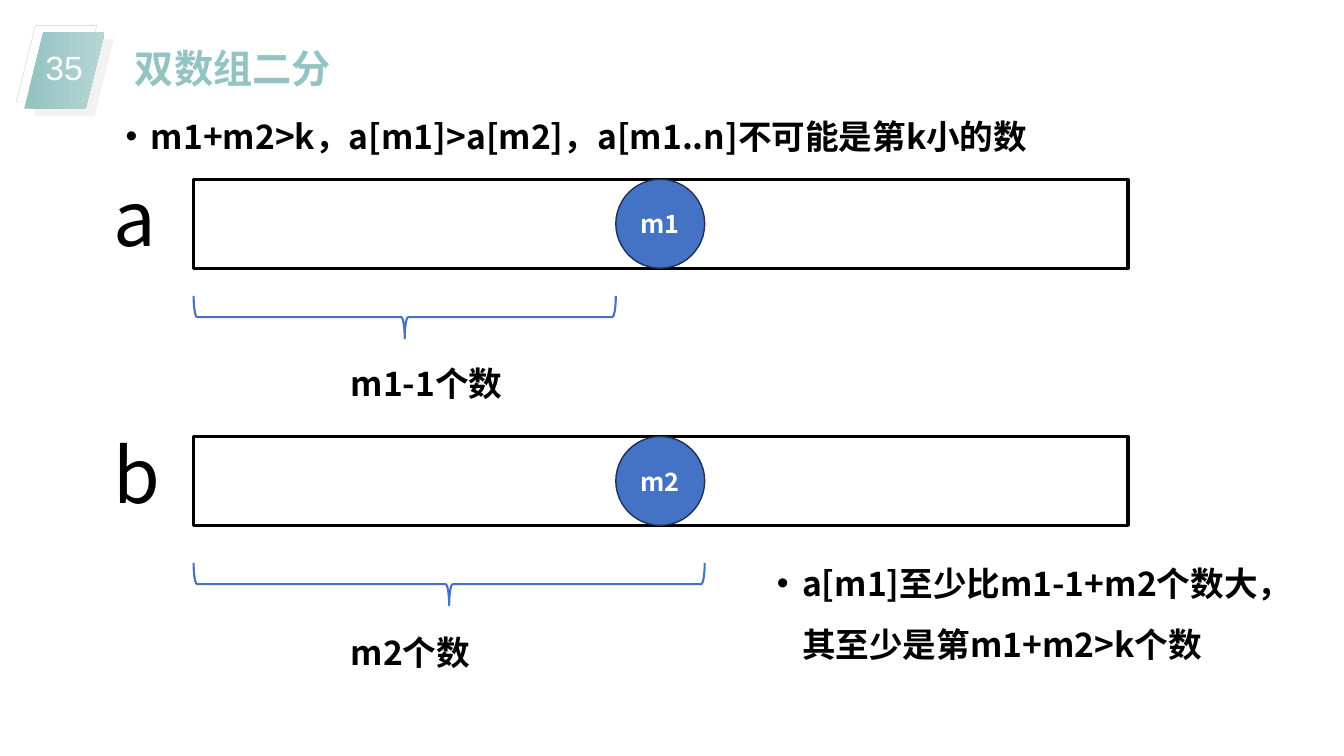
"""Builds the slide on binary search over two sorted arrays."""
from lxml import etree
from pptx import Presentation, util as u
from pptx.dml.color import RGBColor
from pptx.enum import shapes, text
from pptx.oxml import ns

TEAL = RGBColor(0x93, 0xC3, 0xC2)
PALE_TEAL = RGBColor(0xB7, 0xD5, 0xD5)
OUTLINE_TEAL = RGBColor(0xBA, 0xD7, 0xD7)
GREY = RGBColor(0xF2, 0xF2, 0xF2)
BLUE = RGBColor(0x44, 0x72, 0xC4)
NAVY = RGBColor(0x1E, 0x32, 0x56)
BLACK = RGBColor(0, 0, 0)
WHITE = RGBColor(0xFF, 0xFF, 0xFF)
CJK = "Noto Sans CJK SC"
SHAPE = shapes.MSO_SHAPE
ALIGN = text.PP_ALIGN

deck = Presentation()
deck.slide_width, deck.slide_height = u.Cm(33.87), u.Cm(19.05)
slide = deck.slides.add_slide(deck.slide_layouts[6])


def add_figure(kind, left, top, width, height, fill=None, line=None, weight=1):
    figure = slide.shapes.add_shape(kind, u.Cm(left), u.Cm(top), u.Cm(width), u.Cm(height))
    figure.shadow.inherit = False
    if fill is None:
        figure.fill.background()
    else:
        figure.fill.solid()
        figure.fill.fore_color.rgb = fill
    if line is None:
        figure.line.fill.background()
    else:
        figure.line.color.rgb = line
        figure.line.width = u.Pt(weight)
    return figure


def write(words, box=None, holder=None, size=24, bold=True, color=BLACK, font=CJK,
          align=ALIGN.LEFT, middle=False, wrap=True, spacing=None, before=0, bullet=False):
    holder = holder or slide.shapes.add_textbox(*map(u.Cm, box))
    frame = holder.text_frame
    frame.word_wrap = wrap
    frame.vertical_anchor = text.MSO_ANCHOR.MIDDLE if middle else text.MSO_ANCHOR.TOP
    paragraph = frame.paragraphs[0]
    paragraph.alignment = align
    paragraph.space_before = u.Pt(before)
    if spacing:
        paragraph.line_spacing = spacing
    if bullet:
        properties = paragraph._p.get_or_add_pPr()
        properties.set("marL", str(u.Cm(0.635)))
        properties.set("indent", str(u.Cm(-0.635)))
        etree.SubElement(properties, ns.qn("a:buFont")).set("typeface", "Arial")
        etree.SubElement(properties, ns.qn("a:buChar")).set("char", "•")
    run = paragraph.add_run()
    run.text = words
    run.font.size, run.font.bold, run.font.name = u.Pt(size), bold, font
    run.font.color.rgb = color
    etree.SubElement(run._r.get_or_add_rPr(), ns.qn("a:ea")).set("typeface", CJK)


add_figure(SHAPE.PARALLELOGRAM, 0.41, 0.64, 2.03, 1.93, line=OUTLINE_TEAL, weight=0.25)
add_figure(SHAPE.PARALLELOGRAM, 0.84, 0.99, 2.03, 1.93, fill=GREY)
badge = add_figure(SHAPE.PARALLELOGRAM, 0.61, 0.81, 2.03, 1.93)
badge.fill.gradient()
badge.fill.gradient_angle = 0
for stop, shade in zip(badge.fill.gradient_stops, (TEAL, PALE_TEAL)):
    stop.color.rgb = shade
write("35", (0.84, 0.91, 1.55, 1.37), bold=False, color=WHITE, font="Arial",
      align=ALIGN.CENTER, middle=True, wrap=False, spacing=1.2)
write("双数组二分", (3.15, 0.99, 5.92, 1.45), size=28, color=TEAL, font="Arial",
      align=ALIGN.JUSTIFY)

body = dict(spacing=1.5, before=10)
write("m1+m2>k，a[m1]>a[m2]，a[m1..n]不可能是第k小的数", (2.92, 2.29, 31.8, 1.96),
      bullet=True, **body)

bar_left, bar_width, bar_height = 4.88, 23.55, 2.24
middle_left = 15.52
brace_depth = 1.07
arrays = [
    ("a", "m1", "m1-1个数", 4.52, middle_left, 7.99, 8.51),
    ("b", "m2", "m2个数", 11.0, middle_left + bar_height, 14.72, 15.29),
]
for letter, middle_name, count, bar_top, brace_end, brace_y, count_top in arrays:
    add_figure(SHAPE.RECTANGLE, bar_left, bar_top, bar_width, bar_height,
               line=BLACK, weight=2.25)
    middle_item = add_figure(SHAPE.OVAL, middle_left, bar_top, bar_height, bar_height,
                             fill=BLUE, line=NAVY)
    write(middle_name, holder=middle_item, size=18, color=WHITE,
          align=ALIGN.CENTER, middle=True)
    brace_span = brace_end - bar_left
    brace = add_figure(SHAPE.LEFT_BRACE, (bar_left + brace_end - brace_depth) / 2,
                       brace_y - brace_span / 2, brace_depth, brace_span,
                       line=BLUE, weight=1.5)
    brace.rotation = 270
    write(count, (8.59, count_top, 4.93, 1.96), **body)
    write(letter, (2.6, bar_top - 0.33, 1.6, 2.57), size=54, bold=False,
          align=ALIGN.CENTER, wrap=False)

write("a[m1]至少比m1-1+m2个数大，其至少是第m1+m2>k个数", (19.33, 13.56, 13.11, 1.96),
      bullet=True, **body)

deck.save("out.pptx")
